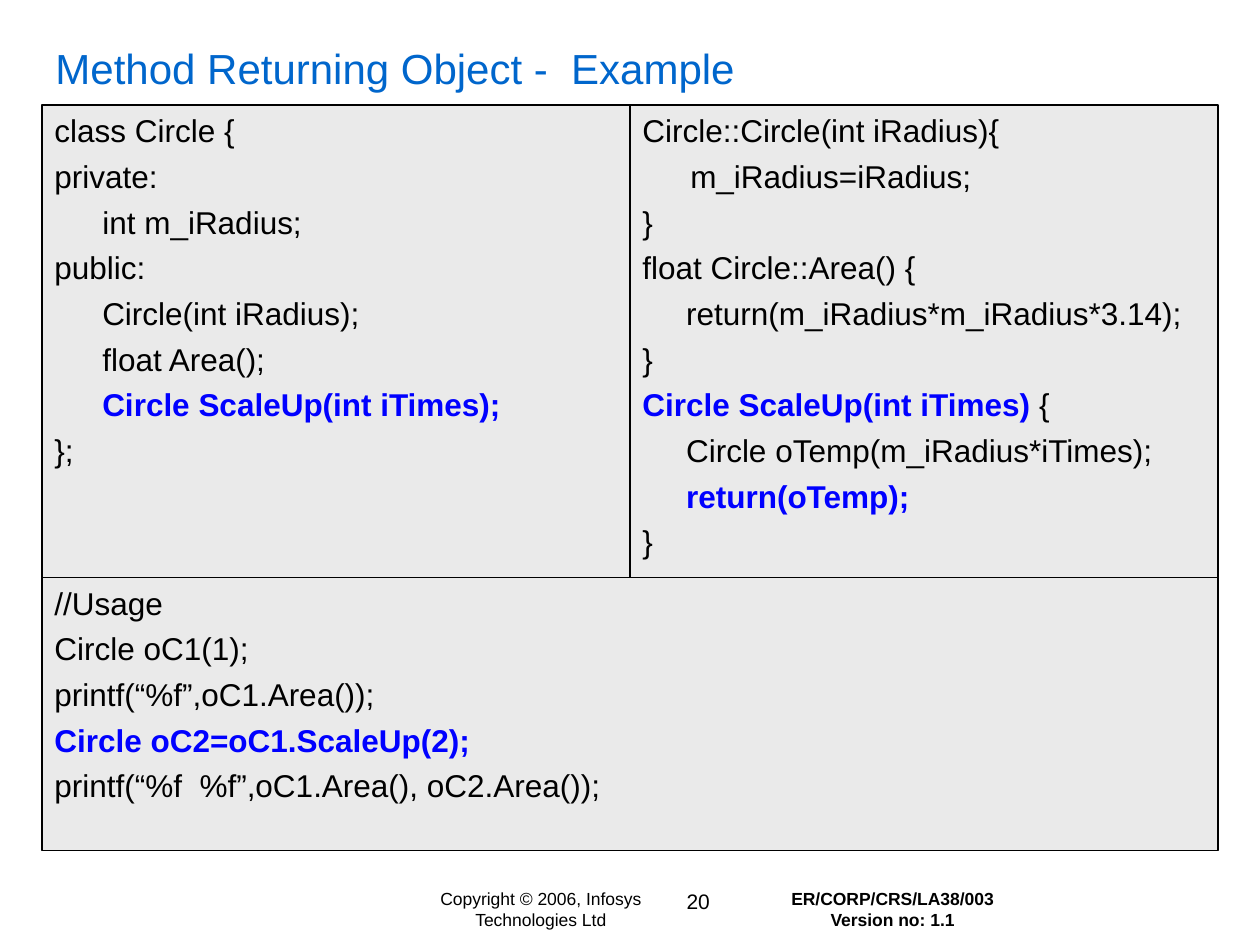
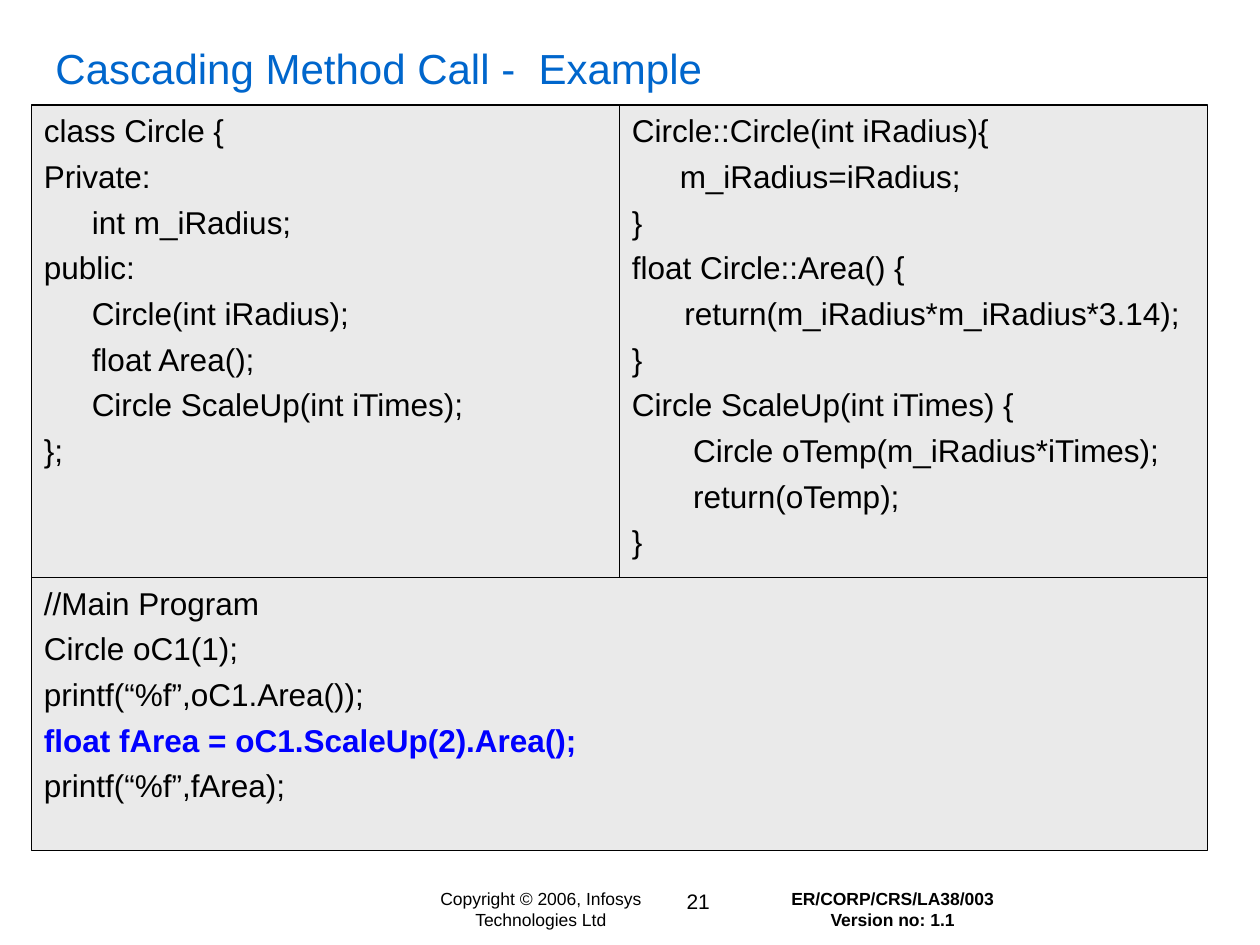
from pptx import Presentation, util as u
from pptx.dml.color import RGBColor
from pptx.enum import shapes, text

COLORS = {"title": "0066CC", "code": "000000", "key": "0000FF",
          "panel": "EAEAEA", "border": "000000"}
FONT = "Arial"
COLUMNS, ROWS = 120, 90
HANGING = u.Inches(0.38)
MARK = "|"

deck = Presentation()
deck.slide_width, deck.slide_height = u.Inches(10), u.Inches(7.5)


def grid(left, top, width, height):
    column, row = deck.slide_width / COLUMNS, deck.slide_height / ROWS
    return [round(n) for n in (left * column, top * row, width * column, height * row)]


def add_words(paragraph, words, size, color, bold=False):
    run = paragraph.add_run()
    run.text = words
    run.font.name, run.font.size, run.font.bold = FONT, u.Pt(size), bold
    run.font.color.rgb = RGBColor.from_string(COLORS[color])


def next_paragraph(frame, index):
    return frame.add_paragraph() if index else frame.paragraphs[0]


def add_label(slide, box, lines, size, color="code", bold=False, centred=True, wrap=True):
    frame = slide.shapes.add_textbox(*grid(*box)).text_frame
    frame.word_wrap = wrap
    frame.vertical_anchor = text.MSO_ANCHOR.TOP if centred else text.MSO_ANCHOR.MIDDLE
    for index, line in enumerate(lines):
        paragraph = next_paragraph(frame, index)
        paragraph.alignment = text.PP_ALIGN.CENTER if centred else text.PP_ALIGN.LEFT
        add_words(paragraph, line, size, color, bold)


def add_code_panel(slide, box, lines):
    panel = slide.shapes.add_shape(shapes.MSO_SHAPE.RECTANGLE, *grid(*box))
    panel.shadow.inherit = False
    panel.fill.solid()
    panel.fill.fore_color.rgb = RGBColor.from_string(COLORS["panel"])
    panel.line.color.rgb = RGBColor.from_string(COLORS["border"])
    panel.line.width = u.Pt(0.75)
    frame = panel.text_frame
    frame.word_wrap = True
    frame.vertical_anchor = text.MSO_ANCHOR.TOP
    for index, line in enumerate(lines):
        paragraph = next_paragraph(frame, index)
        paragraph.alignment = text.PP_ALIGN.LEFT
        if index:
            paragraph.space_before = u.Pt(4.5)
        indents = paragraph._p.get_or_add_pPr()
        indents.set("marL", str(HANGING))
        indents.set("indent", str(-HANGING))
        for part, words in enumerate(line.split(MARK)):
            if words:
                key = part % 2 == 1
                add_words(paragraph, words, 18, "key" if key else "code", key)


def add_footer(slide, number, top=84):
    add_label(slide, (38, top, 27, 5.25), ["Copyright © 2006, Infosys Technologies Ltd"], 10)
    add_label(slide, (60.75, top, 11.5, 3.6), [str(number)], 12, wrap=False)
    add_label(slide, (69, top, 32, 5.25),
              ["ER/CORP/CRS/LA38/003", "Version no: 1.1"], 10, bold=True)


def add_code_panels(slide, box, declaration, methods, usage):
    left, top, width, height = box
    half, upper = width / 2, 45
    add_code_panel(slide, (left, top, half, upper), declaration)
    add_code_panel(slide, (left + half, top, half, upper), methods)
    add_code_panel(slide, (left, top + upper, width, height - upper), usage)


def add_example_slide(number, title, left, declaration, methods, usage):
    slide = deck.slides.add_slide(deck.slide_layouts[6])
    add_footer(slide, number)
    add_label(slide, (4.1, 3.1, 112.5, 6.75), [title], 24, "title", centred=False)
    add_code_panels(slide, (left, 10, 112, 71), declaration, methods, usage)


def circle_declaration(private, scale_up):
    return ["class Circle {", private, "\tint m_iRadius;", "public:",
            "\tCircle(int iRadius);", "\tfloat Area();", "\t" + scale_up, "};"]


def circle_methods(area_indent, scale_up, scale_indent, result):
    return ["Circle::Circle(int iRadius){", "\tm_iRadius=iRadius;", "}",
            "float Circle::Area() {",
            " " * area_indent + "return(m_iRadius*m_iRadius*3.14);", "}",
            scale_up + " {",
            " " * scale_indent + "Circle oTemp(m_iRadius*iTimes);",
            " " * scale_indent + result, "}"]


def usage_code(heading, *calls):
    return [heading, "Circle oC1(1);", "printf(“%f”,oC1.Area());", *calls]


def main():
    add_example_slide(
        20, "Method Returning Object -  Example", 4,
        circle_declaration("private:", "|Circle ScaleUp(int iTimes);|"),
        circle_methods(5, "|Circle ScaleUp(int iTimes)|", 5, "|return(oTemp);|"),
        usage_code("//Usage", "|Circle oC2=oC1.ScaleUp(2);|",
                   "printf(“%f  %f”,oC1.Area(), oC2.Area());"))
    add_example_slide(
        21, "Cascading Method Call -  Example", 3,
        circle_declaration("Private:", "Circle ScaleUp(int iTimes);"),
        circle_methods(6, "Circle ScaleUp(int iTimes)", 7, "return(oTemp);"),
        usage_code("//Main Program", "|float fArea = oC1.ScaleUp(2).Area();|",
                   "printf(“%f”,fArea);"))
    deck.save("out.pptx")


if __name__ == "__main__":
    main()
